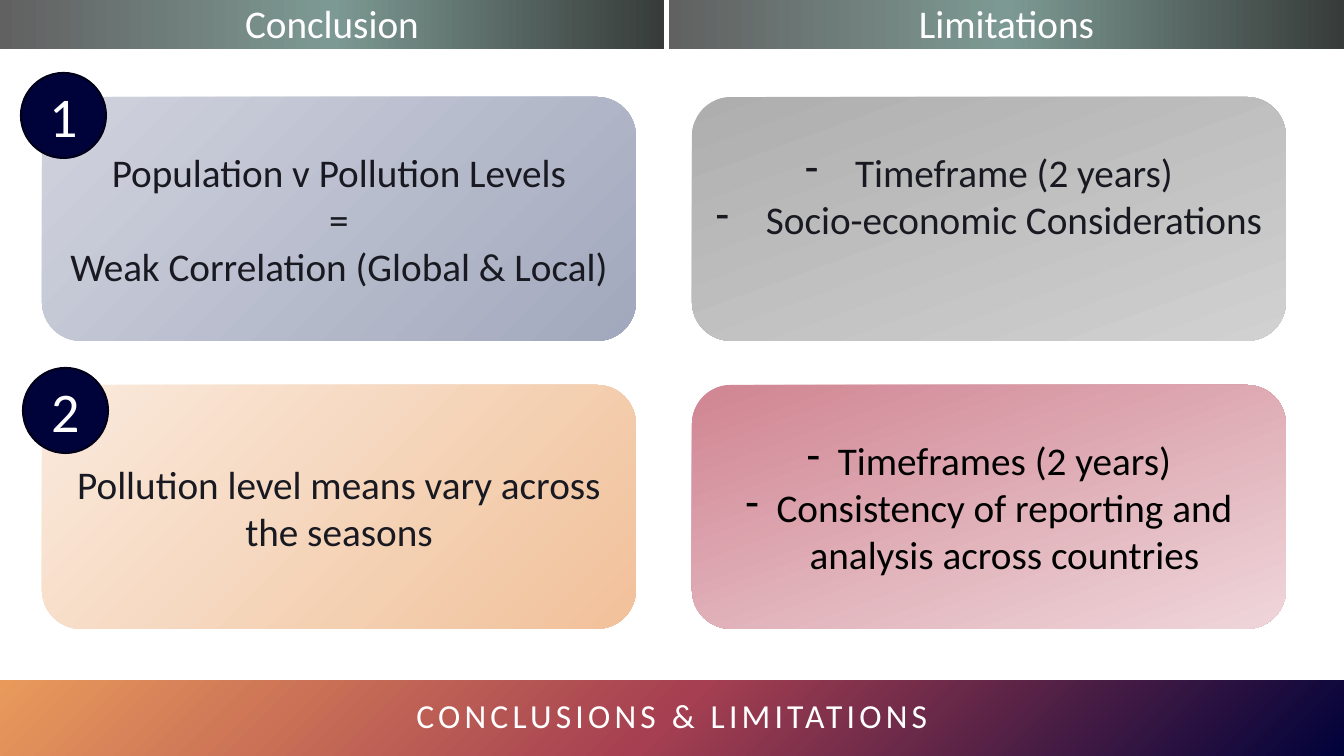
"""Build the Conclusions & Limitations slide."""
from lxml import etree
from pptx import Presentation
from pptx.dml.color import RGBColor
from pptx.enum.shapes import MSO_SHAPE
from pptx.enum.text import MSO_ANCHOR, PP_ALIGN
from pptx.oxml import parse_xml
from pptx.oxml.ns import nsdecls, qn
from pptx.util import Pt

RECTANGLE, ROUNDED, OVAL = MSO_SHAPE.RECTANGLE, MSO_SHAPE.ROUNDED_RECTANGLE, MSO_SHAPE.OVAL
MIDDLE, CENTER = MSO_ANCHOR.MIDDLE, PP_ALIGN.CENTER

EMU_PER_PX = 914400 / 100.8
SLIDE_SIZE = (1344, 756)
FONT = "Calibri"
COLORS = {"white": "FFFFFF", "black": "000000", "ink": "181921", "navy": "00023A", "outline": "000119"}
GRADIENTS = {
    "banner": (["00023A", "A53F51", "E99A5B"], None),
    "header": (["373C3A", "7D9993", "616161"], 180),
    "blue": (["A2A8BD", "D1D3DE"], None),
    "gray": (["AEAEAE", "D1D1D1"], 70),
    "orange": (["F1C19A", "FAEADD"], None),
    "rose": (["D08592", "EFD6DB"], 70),
}

BANNER = ("CONCLUSIONS & LIMITATIONS", (0, 680, 1344, 76))
HEADERS = [("Conclusion", 0, 664), ("Limitations", 669, 675)]
HEADER_TOP, HEADER_HEIGHT = -4, 53

# fmt: gradient, text color, bullet indent, bottom inset, lines
CARD_ROWS = [
    [
        ("blue", "ink", 0, 5, ["Population v Pollution Levels", "=", "Weak Correlation (Global & Local)"]),
        ("gray", "ink", 50, 52, ["Timeframe (2 years)", "Socio-economic Considerations"]),
    ],
    [
        ("orange", "ink", 0, 5, ["Pollution level means vary across the seasons"]),
        ("rose", "black", 31, 5, ["Timeframes (2 years)", "Consistency of reporting and analysis across countries"]),
    ],
]
CARD_LEFT, CARD_TOP, CARD_WIDTH, CARD_HEIGHT = 42, 97, 594, 244
CARD_STEP_X, CARD_STEP_Y = 650, 288
BADGES = [("1", 21, 73), ("2", 23, 368)]
BADGE_SIZE = 85


def px(length):
    return round(length * EMU_PER_PX)


def rgb(name):
    return RGBColor.from_string(COLORS[name])


def fill_gradient(shape, name):
    colors, angle = GRADIENTS[name]
    gradient = parse_xml(f'<a:gradFill {nsdecls("a")} rotWithShape="1"><a:gsLst/></a:gradFill>')
    for index, color in enumerate(colors):
        position = str(100000 * index // (len(colors) - 1))
        stop = etree.SubElement(gradient[0], qn("a:gs"), pos=position)
        etree.SubElement(stop, qn("a:srgbClr"), val=color)
    if angle is None:
        radial = etree.SubElement(gradient, qn("a:path"), path="circle")
        etree.SubElement(radial, qn("a:fillToRect"), l="100000", t="100000")
    else:
        etree.SubElement(gradient, qn("a:lin"), ang=str(angle * 60000), scaled="0")
    shape.fill.solid()
    properties = shape._element.spPr
    properties.replace(properties.find(qn("a:solidFill")), gradient)


def add_block(slide, kind, box, gradient=None):
    shape = slide.shapes.add_shape(kind, *map(px, box))
    shape.shadow.inherit = False
    if gradient:
        fill_gradient(shape, gradient)
        shape.line.fill.background()
    else:
        shape.fill.solid()
        shape.fill.fore_color.rgb = rgb("navy")
        shape.line.color.rgb = rgb("outline")
        shape.line.width = Pt(1.5)
    return shape


def write(shape, lines, size=28, color="white", indent=0, spacing=0):
    frame = shape.text_frame
    frame.word_wrap = True
    frame.vertical_anchor = MIDDLE
    for index, line in enumerate(lines):
        paragraph = frame.add_paragraph() if index else frame.paragraphs[0]
        paragraph.alignment = CENTER
        if indent:
            properties = paragraph._p.get_or_add_pPr()
            properties.set("marL", str(px(indent)))
            properties.set("indent", str(-px(indent)))
            etree.SubElement(properties, qn("a:buFontTx"))
            etree.SubElement(properties, qn("a:buChar"), char="-")
        run = paragraph.add_run()
        run.text = line
        run.font.name = FONT
        run.font.size = Pt(size)
        run.font.color.rgb = rgb(color)
        if spacing:
            run.font._element.set("spc", str(spacing * 100))


def main():
    presentation = Presentation()
    presentation.slide_width, presentation.slide_height = map(px, SLIDE_SIZE)
    slide = presentation.slides.add_slide(presentation.slide_layouts[6])

    title, box = BANNER
    banner = add_block(slide, RECTANGLE, box, "banner")
    write(banner, [title], size=24, spacing=3)
    banner.text_frame.paragraphs[0].line_spacing = 0.9

    for row, cards in enumerate(CARD_ROWS):
        for column, (gradient, color, indent, bottom, lines) in enumerate(cards):
            left = CARD_LEFT + column * CARD_STEP_X
            top = CARD_TOP + row * CARD_STEP_Y
            card = add_block(slide, ROUNDED, (left, top, CARD_WIDTH, CARD_HEIGHT), gradient)
            card.adjustments[0] = 0.16
            write(card, lines, color=color, indent=indent)
            card.text_frame.margin_bottom = px(bottom)

    for label, left, width in HEADERS:
        header = add_block(slide, RECTANGLE, (left, HEADER_TOP, width, HEADER_HEIGHT), "header")
        write(header, [label])

    for number, left, top in BADGES:
        badge = add_block(slide, OVAL, (left, top, BADGE_SIZE, BADGE_SIZE))
        write(badge, [number], size=40)

    presentation.save("out.pptx")


if __name__ == "__main__":
    main()
